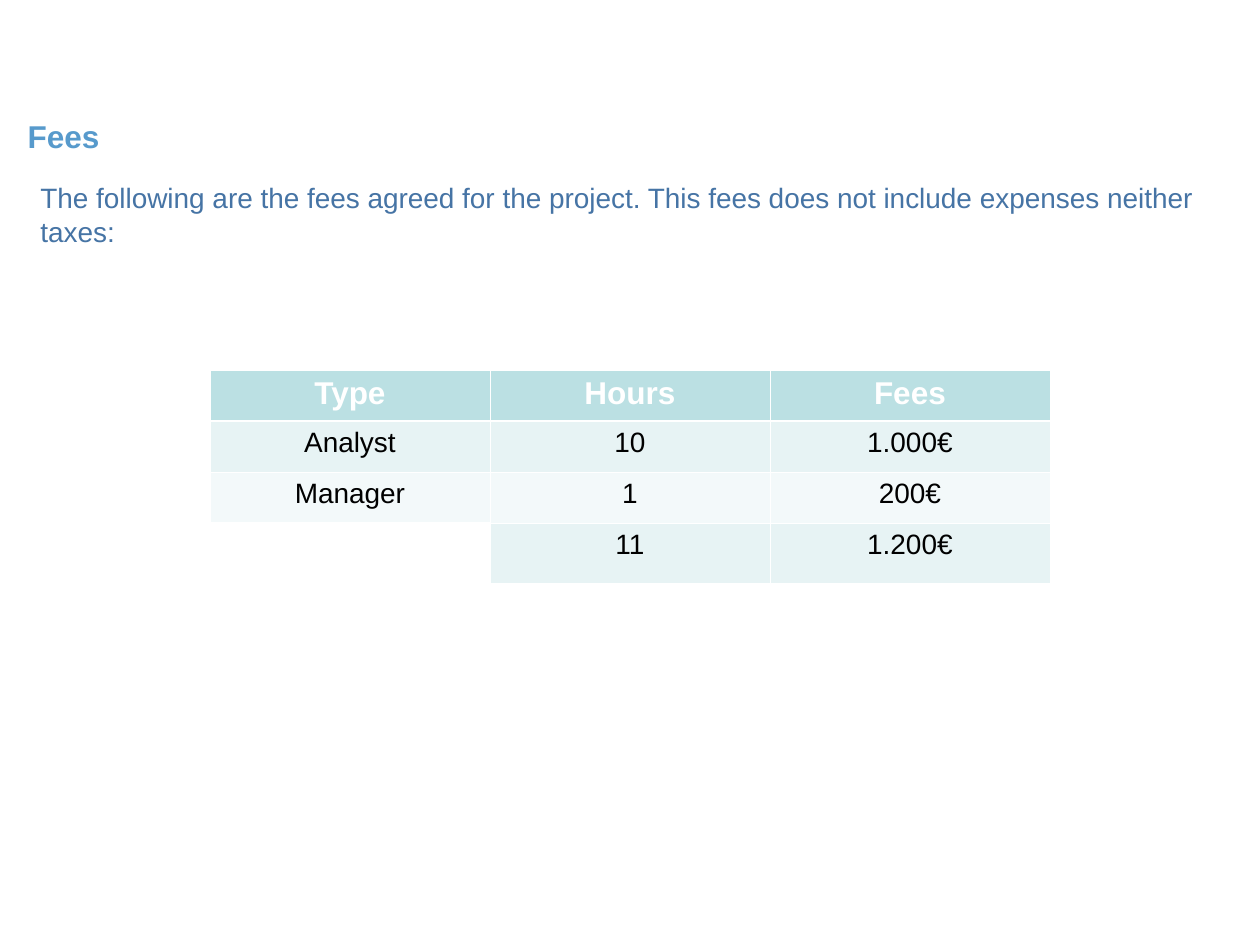
"""Builds the project fees slide."""
from dataclasses import dataclass

from lxml import etree
from pptx import Presentation
from pptx import util as u
from pptx.dml.color import RGBColor
from pptx.enum import text
from pptx.oxml.ns import qn


@dataclass(frozen=True)
class Theme:
    font: str = "Arial"
    heading: str = "579ACC"
    intro: str = "4674A5"
    white: str = "FFFFFF"
    black: str = "000000"
    header: str = "BBE0E3"
    bands: tuple = ("E7F3F4", "F3F9FA")
    large: int = 18
    normal: int = 16
    thin: float = 0.45
    thick: float = 1.47


theme = Theme()


def px(length):
    return u.Emu(round(length * 914400 / 126))


def write(frame, words, size, color, bold=False, align=text.PP_ALIGN.LEFT):
    frame.word_wrap = True
    para = frame.paragraphs[0]
    para.alignment = align
    span = para.add_run()
    span.text = words
    span.font.name = theme.font
    span.font.size = u.Pt(size)
    span.font.bold = bold
    span.font.color.rgb = RGBColor.from_string(color)


deck = Presentation()
deck.slide_width, deck.slide_height = px(1260), px(945)
page = deck.slides.add_slide(deck.slide_layouts[5])

title = page.shapes.title
title.left, title.top, title.width, title.height = px(15), px(86), px(674), px(100)
title.text_frame.auto_size = text.MSO_AUTO_SIZE.NONE
title.text_frame.vertical_anchor = text.MSO_ANCHOR.MIDDLE
write(title.text_frame, "Fees", theme.large, theme.heading, bold=True)

rows = [
    ["Type", "Hours", "Fees"],
    ["Analyst", "10", "1.000€"],
    ["Manager", "1", "200€"],
    ["", "11", "1.200€"],
]
heights = [51, 51, 51, 60]
table = page.shapes.add_table(
    len(rows), len(rows[0]), px(210), px(370), px(840), px(sum(heights))
).table
for column in table.columns:
    column.width = px(280)

for row_index, (row, height) in enumerate(zip(rows, heights)):
    table.rows[row_index].height = px(height)
    is_header = row_index == 0
    for column_index, words in enumerate(row):
        cell = table.cell(row_index, column_index)
        if not words:
            cell.fill.background()
            continue
        widths = {
            "lnL": theme.thin,
            "lnR": theme.thin,
            "lnT": theme.thick if row_index == 1 else theme.thin,
            "lnB": theme.thick if is_header else theme.thin,
        }
        properties = cell._tc.get_or_add_tcPr()
        for side, width in widths.items():
            line = etree.SubElement(properties, qn(f"a:{side}"), w=str(u.Pt(width)))
            paint = etree.SubElement(line, qn("a:solidFill"))
            etree.SubElement(paint, qn("a:srgbClr"), val=theme.white)
        fill = theme.header if is_header else theme.bands[(row_index - 1) % 2]
        cell.fill.solid()
        cell.fill.fore_color.rgb = RGBColor.from_string(fill)
        size = theme.large if is_header else theme.normal
        color = theme.white if is_header else theme.black
        write(cell.text_frame, words, size, color, is_header, text.PP_ALIGN.CENTER)

intro = page.shapes.add_textbox(px(28), px(175), px(1187), px(79))
intro.text_frame.vertical_anchor = text.MSO_ANCHOR.MIDDLE
write(
    intro.text_frame,
    "The following are the fees agreed for the project. "
    "This fees does not include expenses neither taxes:",
    theme.normal,
    theme.intro,
)

deck.save("out.pptx")
